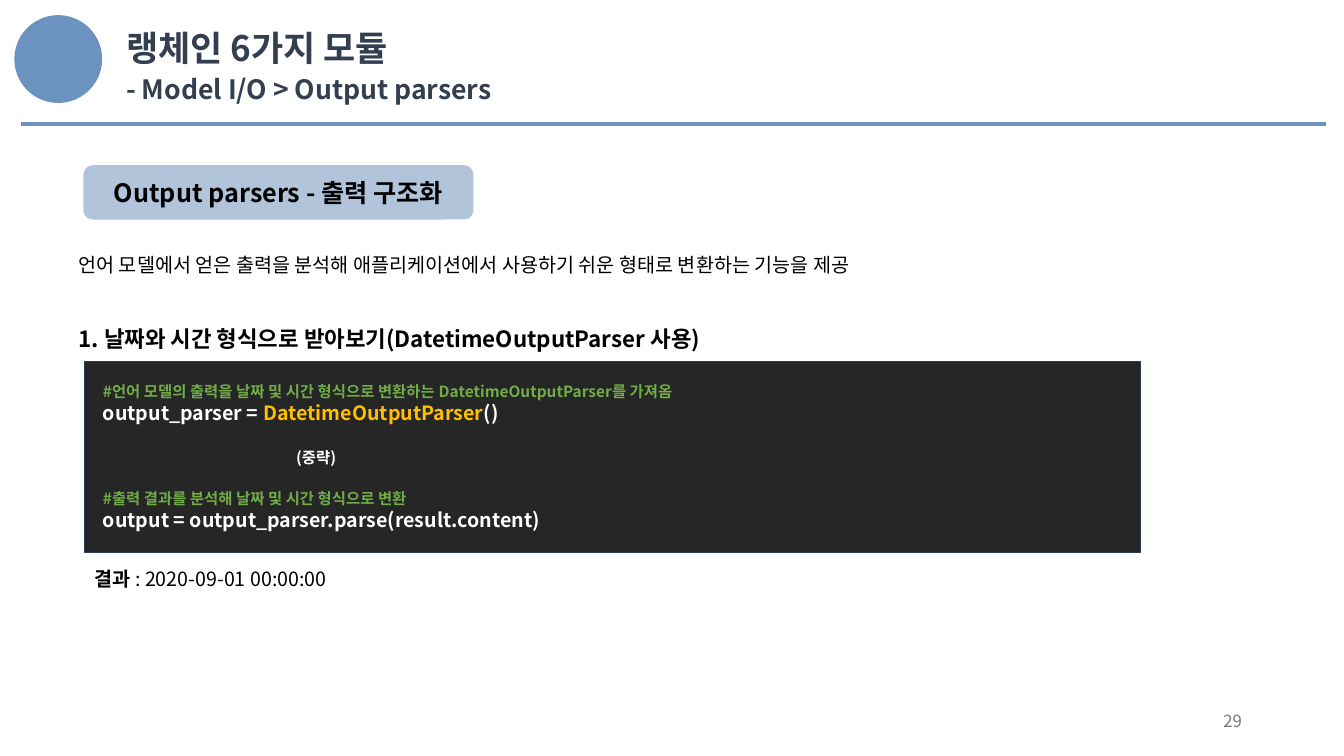
"""Build the slide on output parsers and save it as out.pptx."""
from lxml.etree import SubElement
from pptx import Presentation
from pptx.dml.color import RGBColor
from pptx.enum.shapes import MSO_CONNECTOR, MSO_SHAPE as Preset
from pptx.enum.text import MSO_ANCHOR as Anchor, MSO_AUTO_SIZE as AutoSize, PP_ALIGN as Align
from pptx.oxml.ns import qn
from pptx.util import Pt

BLUE = RGBColor(0x6C, 0x92, 0xC0)
BADGE_BLUE = RGBColor(0x90, 0xAB, 0xCB)
TITLE_COLOR = RGBColor(0x33, 0x3F, 0x50)
SUBTITLE_COLOR = RGBColor(0x33, 0x3F, 0x4F)
CODE_FILL = RGBColor(0x26, 0x26, 0x26)
CODE_BORDER = RGBColor(0x26, 0x41, 0x59)
BLACK = RGBColor(0, 0, 0)
WHITE = RGBColor(0xFF, 0xFF, 0xFF)
GREEN = RGBColor(0x70, 0xAD, 0x47)
GOLD = RGBColor(0xFF, 0xC0, 0x00)
GRAY = RGBColor(0x79, 0x79, 0x79)
KOREAN_FONT = "Noto Sans CJK KR"
BODY_FONT = "Noto Sans CJK SC"


def add_run(paragraph, text, size, color, bold=False, font_name=BODY_FONT):
    run = paragraph.add_run()
    run.text = text
    run.font.size = Pt(size)
    run.font.bold = bold
    run.font.color.rgb = color
    run.font.name = font_name
    SubElement(run.font._element, qn("a:ea")).set("typeface", font_name)


def add_preset(preset, left, top, width, height, color):
    shape = slide.shapes.add_shape(preset, Pt(left), Pt(top), Pt(width), Pt(height))
    shape.shadow.inherit = False
    shape.fill.solid()
    shape.fill.fore_color.rgb = color
    shape.line.fill.background()
    return shape


presentation = Presentation()
presentation.slide_width = Pt(960)
presentation.slide_height = Pt(540)
slide = presentation.slides.add_slide(presentation.slide_layouts[6])

add_preset(Preset.OVAL, 10.2, 10.8, 62.8, 62.8, BLUE)

for top, text, size, color in (
    (15.5, "랭체인 6가지 모듈", 25, TITLE_COLOR),
    (48.5, "- Model I/O > Output parsers", 19, SUBTITLE_COLOR),
):
    heading = slide.shapes.add_textbox(Pt(83), Pt(top), Pt(320), Pt(21.6))
    heading.text_frame.word_wrap = True
    add_run(heading.text_frame.paragraphs[0], text, size, color, True, KOREAN_FONT)

badge = add_preset(Preset.FLOWCHART_ALTERNATE_PROCESS, 59.6, 118, 278.6, 38.8, BADGE_BLUE)
badge_color = badge.fill._xPr.find(qn("a:solidFill"))[0]
SubElement(badge_color, qn("a:alpha")).set("val", "70000")
badge.text_frame.vertical_anchor = Anchor.MIDDLE
badge_paragraph = badge.text_frame.paragraphs[0]
badge_paragraph.alignment = Align.CENTER
add_run(badge_paragraph, "Output parsers - 출력 구조화", 18, BLACK, True)

body = slide.shapes.add_textbox(Pt(49), Pt(168.8), Pt(873.4), Pt(87))
body.text_frame.word_wrap = True
body.text_frame.auto_size = AutoSize.SHAPE_TO_FIT_TEXT
summary = body.text_frame.paragraphs[0]
summary.line_spacing = 1.5
add_run(summary, "언어 모델에서 얻은 출력을 분석해 애플리케이션에서 사용하기 쉬운 형태로 변환하는 기능을 제공", 14, BLACK)
example_heading = body.text_frame.add_paragraph()
example_heading.line_spacing = 1.5
example_heading.space_before = Pt(25)
add_run(example_heading, "1. 날짜와 시간 형식으로 받아보기(DatetimeOutputParser 사용)", 16, BLACK, True)

code = add_preset(Preset.RECTANGLE, 60.5, 258.1, 754, 136.8, CODE_FILL)
code.line.color.rgb = CODE_BORDER
code.line.width = Pt(1)
code_frame = code.text_frame
code_frame.vertical_anchor = Anchor.MIDDLE
code_frame.margin_left = Pt(13)
code_lines = (
    (0, 0, 11, [("#언어 모델의 출력을 날짜 및 시간 형식으로 변환하는 DatetimeOutputParser를 가져옴", GREEN)]),
    (0, 0, 14, [("output_parser = ", WHITE), ("DatetimeOutputParser", GOLD), ("()", WHITE)]),
    (16.6, 138, 11, [("(중략)", WHITE)]),
    (16.6, 0, 11, [("#출력 결과를 분석해 날짜 및 시간 형식으로 변환", GREEN)]),
    (0, 0, 14, [("output = output_parser.parse(result.content)", WHITE)]),
)
for index, (gap, indent, size, pieces) in enumerate(code_lines):
    paragraph = code_frame.add_paragraph() if index else code_frame.paragraphs[0]
    paragraph.alignment = Align.LEFT
    paragraph.space_before = Pt(gap)
    paragraph._p.get_or_add_pPr().set("marL", str(Pt(indent)))
    for text, color in pieces:
        add_run(paragraph, text, size, color, True)

result = slide.shapes.add_textbox(Pt(60.5), Pt(401.4), Pt(186), Pt(23))
result.text_frame.word_wrap = False
result.text_frame.auto_size = AutoSize.SHAPE_TO_FIT_TEXT
result_paragraph = result.text_frame.paragraphs[0]
add_run(result_paragraph, "결과 ", 14, BLACK, True)
add_run(result_paragraph, ": 2020-09-01 00:00:00", 14, BLACK)

header_rule = slide.shapes.add_connector(MSO_CONNECTOR.STRAIGHT, Pt(15), Pt(88.6), Pt(947.5), Pt(88.6))
header_rule.line.color.rgb = BLUE
header_rule.line.width = Pt(3)
SubElement(header_rule._element.spPr, qn("a:effectLst"))

page_number = slide.shapes.add_textbox(Pt(678.2), Pt(500.4), Pt(216), Pt(28.8))
page_number.text_frame.word_wrap = True
page_number.text_frame.vertical_anchor = Anchor.MIDDLE
page_paragraph = page_number.text_frame.paragraphs[0]
page_paragraph.alignment = Align.RIGHT
add_run(page_paragraph, "29", 12, GRAY)

presentation.save("out.pptx")
